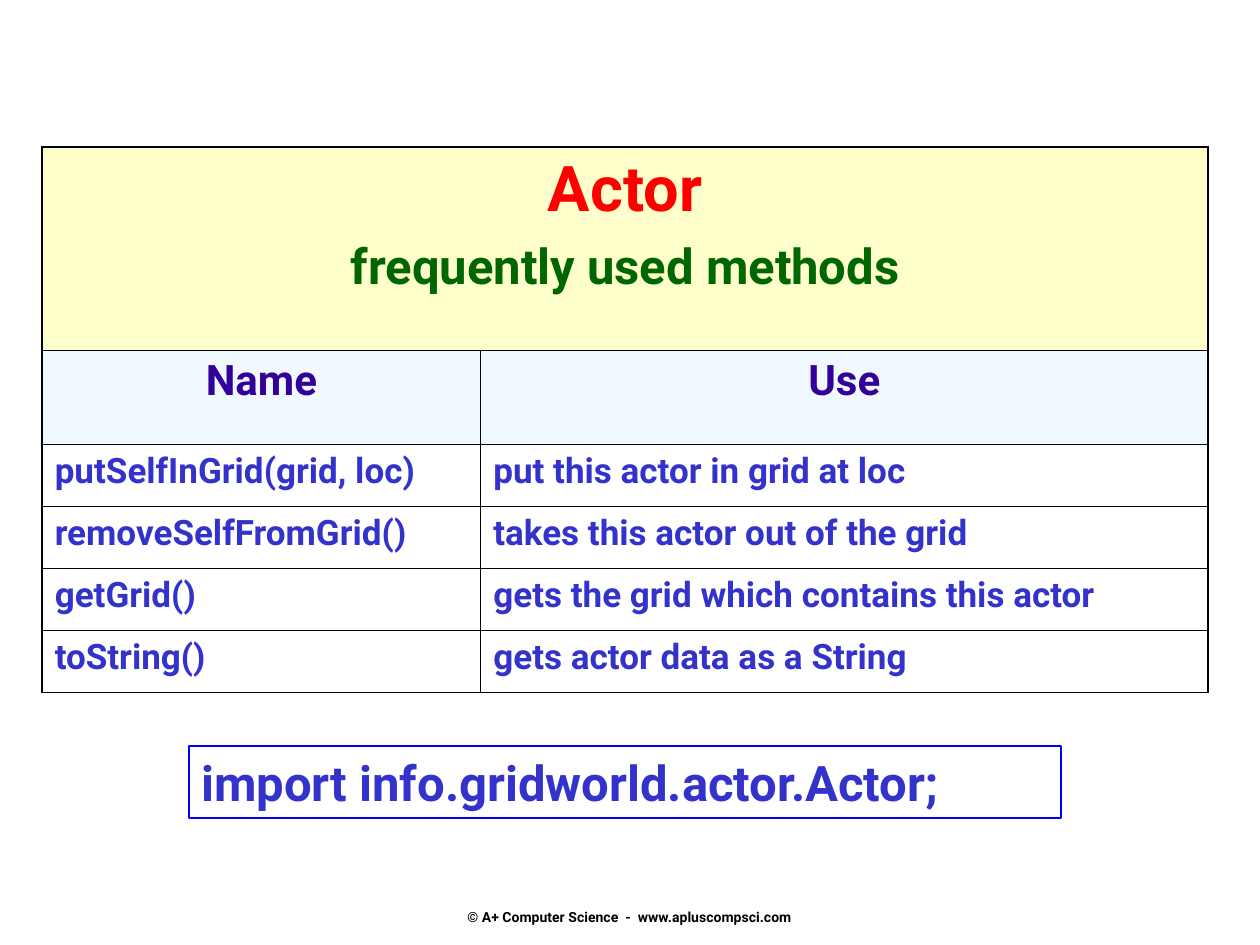
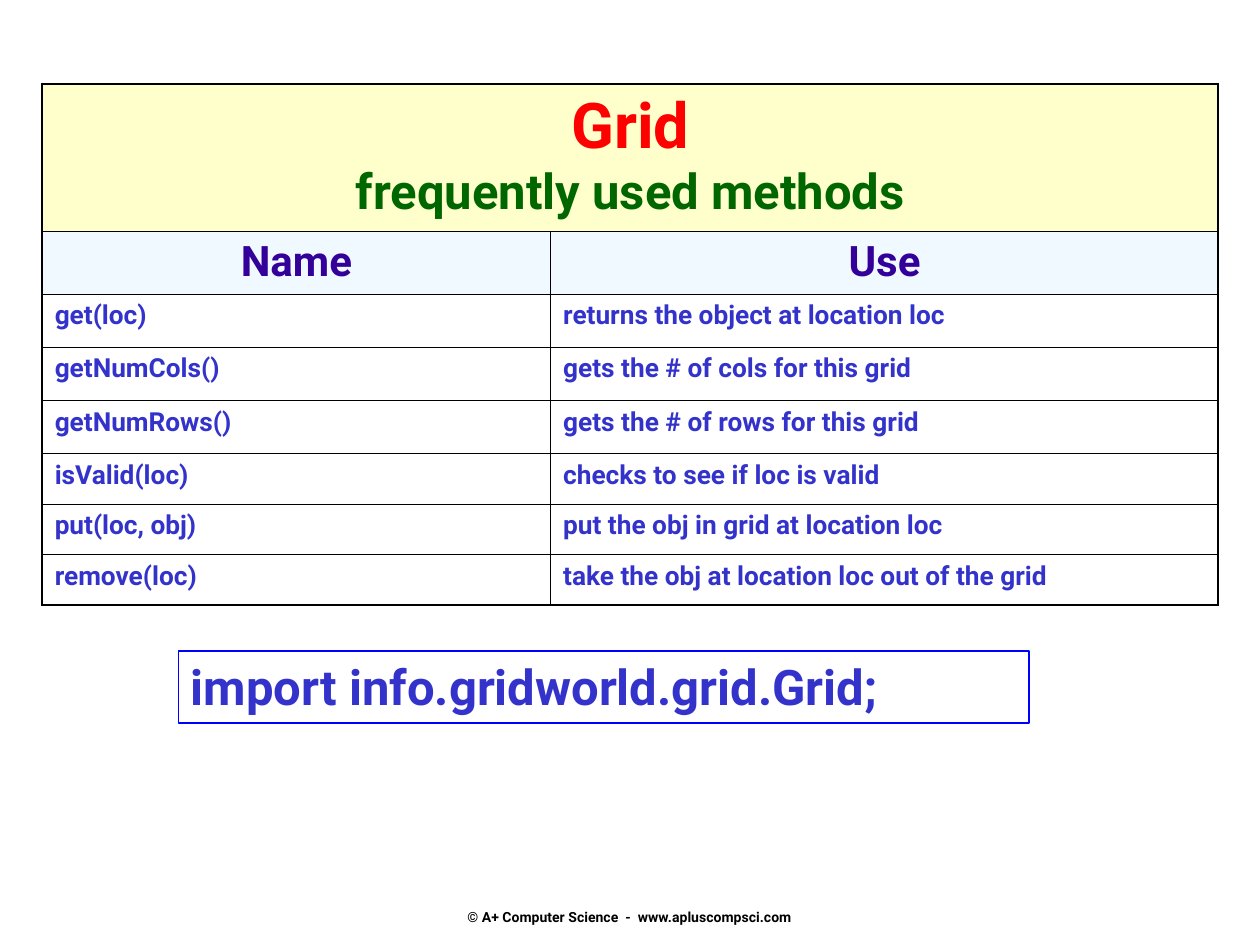
from dataclasses import dataclass

from pptx import Presentation
from pptx import util as u
from pptx.dml.color import RGBColor
from pptx.enum import shapes, text
from pptx.oxml import parse_xml
from pptx.oxml.ns import nsdecls, qn
from pptx.slide import Slide
from pptx.table import _Cell as Cell


# Shared colours, type sizes and line widths
@dataclass(frozen=True)
class Theme:
    font: str = "Roboto"
    class_name: str = "FF0000"
    subtitle: str = "006600"
    heading: str = "330099"
    body: str = "3333CC"
    ink: str = "000000"
    title_band: str = "FFFFCC"
    heading_band: str = "E1F4FF"
    import_line: str = "0000FF"
    class_size: float = 36
    subtitle_size: float = 28
    heading_size: float = 24
    import_size: float = 28
    footer_size: float = 8
    outer_line: float = 1.08
    inner_line: float = 0.45


THEME = Theme()
TABLE_LEFT = 0.85
FOOTER = "© A+ Computer Science  -  www.apluscompsci.com"
SUBTITLE = "frequently used methods"


@dataclass(frozen=True)
class Box:
    left: float
    top: float
    width: float
    height: float

    def lengths(self) -> list[u.Length]:
        return [u.Cm(v) for v in (self.left, self.top, self.width, self.height)]


@dataclass(frozen=True)
class MethodsSlide:
    class_name: str
    import_code: str
    methods: list[tuple[str, str]]
    table_top: float
    columns: tuple[float, float]
    rows: list[float]
    subtitle_gap: float
    method_size: float
    import_box: Box


SLIDES = [
    MethodsSlide(
        "Actor",
        "import info.gridworld.actor.Actor;",
        [
            ("putSelfInGrid(grid, loc)", "put this actor in grid at loc"),
            ("removeSelfFromGrid()", "takes this actor out of the grid"),
            ("getGrid()", "gets the grid which contains this actor"),
            ("toString()", "gets actor data as a String"),
        ],
        table_top=2.96,
        columns=(8.84, 14.66),
        rows=[4.1, 1.9] + [1.25] * 4,
        subtitle_gap=7,
        method_size=20,
        import_box=Box(3.81, 15.04, 17.58, 1.45),
    ),
    MethodsSlide(
        "Grid",
        "import info.gridworld.grid.Grid;",
        [
            ("get(loc)", "returns the object at location loc"),
            ("getNumCols()", "gets the # of cols for this grid"),
            ("getNumRows()", "gets the # of rows for this grid"),
            ("isValid(loc)", "checks to see if loc is valid"),
            ("put(loc, obj)", "put the obj in grid at location loc"),
            ("remove(loc)", "take the obj at location loc out of the grid"),
        ],
        table_top=1.69,
        columns=(10.25, 13.46),
        rows=[2.97, 1.27] + [1.07] * 3 + [1.02] * 3,
        subtitle_gap=0,
        method_size=15,
        import_box=Box(3.6, 13.12, 17.15, 1.45),
    ),
]


def style_paragraph(paragraph, size: float, color: str, centered: bool = False) -> None:
    paragraph.alignment = text.PP_ALIGN.CENTER if centered else text.PP_ALIGN.LEFT
    for run in paragraph.runs:
        run.font.name = THEME.font
        run.font.size = u.Pt(size)
        run.font.bold = True
        run.font.color.rgb = RGBColor.from_string(color)


def fill_cell(cell: Cell, color: str, alpha: int = 100) -> None:
    cell.fill.solid()
    cell.fill.fore_color.rgb = RGBColor.from_string(color)
    if alpha < 100:
        srgb = cell._tc.get_or_add_tcPr().find(".//" + qn("a:srgbClr"))
        srgb.append(parse_xml(f'<a:alpha {nsdecls("a")} val="{alpha * 1000}"/>'))


def border_cell(cell: Cell, outer_edges: dict[str, bool]) -> None:
    properties = cell._tc.get_or_add_tcPr()
    for position, (side, outer) in enumerate(outer_edges.items()):
        width = u.Pt(THEME.outer_line if outer else THEME.inner_line)
        properties.insert(position, parse_xml(
            f'<a:ln{side} {nsdecls("a")} w="{width}"><a:solidFill>'
            f'<a:srgbClr val="{THEME.ink}"/></a:solidFill></a:ln{side}>'))


def draw_methods_table(slide: Slide, content: MethodsSlide) -> None:
    box = Box(TABLE_LEFT, content.table_top, sum(content.columns), sum(content.rows))
    table = slide.shapes.add_table(
        len(content.rows), len(content.columns), *box.lengths()).table
    table.first_row = table.horz_banding = False
    for column, width in zip(table.columns, content.columns):
        column.width = u.Cm(width)
    for row, height in zip(table.rows, content.rows):
        row.height = u.Cm(height)

    # Title band
    title = table.cell(0, 0)
    title.merge(table.cell(0, 1))
    title.text_frame.text = f"{content.class_name}\n{SUBTITLE}"
    class_line, subtitle_line = title.text_frame.paragraphs
    style_paragraph(class_line, THEME.class_size, THEME.class_name, centered=True)
    style_paragraph(subtitle_line, THEME.subtitle_size, THEME.subtitle, centered=True)
    subtitle_line.space_before = u.Pt(content.subtitle_gap)
    fill_cell(title, THEME.title_band)

    # Column headings and methods
    for r, entry in enumerate([("Name", "Use"), *content.methods], start=1):
        for c, words in enumerate(entry):
            cell = table.cell(r, c)
            cell.text_frame.text = words
            paragraph = cell.text_frame.paragraphs[0]
            if r == 1:
                style_paragraph(paragraph, THEME.heading_size, THEME.heading, centered=True)
                fill_cell(cell, THEME.heading_band, alpha=50)
            else:
                style_paragraph(paragraph, content.method_size, THEME.body)
                cell.fill.background()

    # Heavy outline, fine inner rules
    last_row, last_column = len(content.rows) - 1, len(content.columns) - 1
    for r in range(last_row + 1):
        for c in range(last_column + 1):
            cell = table.cell(r, c)
            border_cell(cell, {
                "L": c == 0,
                "R": c == last_column or cell.is_merge_origin,
                "T": r == 0,
                "B": r == last_row,
            })


def draw_import(slide: Slide, content: MethodsSlide) -> None:
    statement = slide.shapes.add_shape(
        shapes.MSO_SHAPE.RECTANGLE, *content.import_box.lengths())
    statement.shadow.inherit = False
    statement.fill.background()
    statement.line.color.rgb = RGBColor.from_string(THEME.import_line)
    statement.line.width = u.Pt(1)
    frame = statement.text_frame
    frame.text = content.import_code
    frame.word_wrap = True
    frame.auto_size = text.MSO_AUTO_SIZE.SHAPE_TO_FIT_TEXT
    frame.vertical_anchor = text.MSO_ANCHOR.TOP
    style_paragraph(frame.paragraphs[0], THEME.import_size, THEME.body)


def draw_footer(slide: Slide) -> None:
    frame = slide.shapes.add_textbox(*Box(8.67, 17.36, 8.05, 1.3).lengths()).text_frame
    frame.text = FOOTER
    frame.word_wrap = False
    frame.vertical_anchor = text.MSO_ANCHOR.BOTTOM
    frame.margin_bottom = 0
    style_paragraph(frame.paragraphs[0], THEME.footer_size, THEME.ink, centered=True)


def main() -> None:
    deck = Presentation()
    deck.slide_width, deck.slide_height = u.Cm(25.4), u.Cm(19.05)
    blank = deck.slide_layouts[6]
    for content in SLIDES:
        slide = deck.slides.add_slide(blank)
        draw_footer(slide)
        draw_methods_table(slide, content)
        draw_import(slide, content)
    deck.save("out.pptx")


if __name__ == "__main__":
    main()
